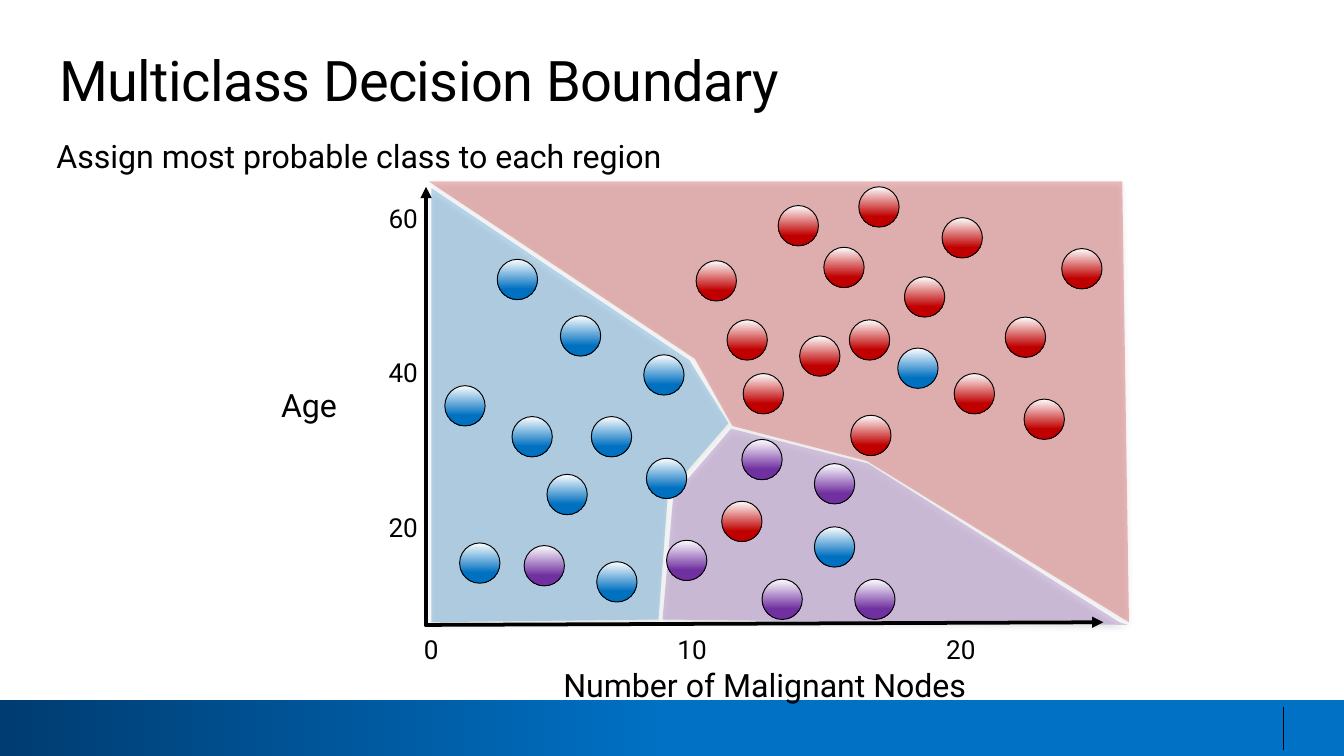
from dataclasses import dataclass

from lxml.etree import SubElement
from pptx import Presentation
from pptx.dml.color import RGBColor
from pptx.enum.shapes import MSO_CONNECTOR, MSO_SHAPE
from pptx.enum.text import MSO_ANCHOR, MSO_AUTO_SIZE, PP_ALIGN
from pptx.oxml.ns import qn
from pptx.util import Inches, Pt


@dataclass(frozen=True)
class Theme:
    font: str = "Roboto"
    ink: str = "000000"
    highlight: str = "FEFFFF"
    red: str = "C00000"
    blue: str = "0070C0"
    purple: str = "7030A0"
    bar_start: str = "003C71"
    bar_end: str = "0071C5"
    title_size: float = 30
    body_size: float = 17.2
    tick_size: float = 14
    axis_leading: float = 28.5


THEME = Theme()
DOT_SIZE = 0.3

REGIONS = [
    (THEME.red, 35, 1.8, [(3.19, 1.35), (8.35, 1.35), (8.4, 4.63), (6.45, 3.43),
                          (5.45, 3.17), (5.17, 2.67)]),
    (THEME.purple, 38, 1.6, [(8.33, 4.63), (6.46, 3.45), (5.44, 3.19), (5.01, 3.69),
                             (4.93, 4.61), (8.39, 4.65)]),
    (THEME.blue, 35, 1.8, [(3.21, 1.4), (5.13, 2.68), (5.42, 3.15), (4.97, 3.67),
                           (4.9, 4.61), (3.21, 4.63)]),
]

DOTS = {
    THEME.red: [
        (5.37, 3.73), (6.33, 3.09), (5.53, 2.78), (5.41, 2.38), (5.18, 1.94), (5.79, 1.53),
        (6.13, 1.84), (6.32, 2.38), (5.95, 2.5), (6.73, 2.06), (6.39, 1.39), (7.01, 1.62),
        (7.9, 1.85), (7.48, 2.36), (7.1, 2.78), (7.62, 2.97),
    ],
    THEME.blue: [
        (4.81, 3.41), (4.4, 3.1), (4.79, 2.64), (6.68, 2.59), (6.06, 3.92), (4.44, 4.18),
        (3.42, 4.04), (4.07, 3.53), (3.81, 3.1), (4.17, 2.35), (3.31, 2.87), (3.7, 1.93),
    ],
    THEME.purple: [
        (5.52, 3.27), (6.06, 3.45), (5.67, 4.31), (6.36, 4.31), (4.96, 4.02), (3.9, 4.06),
    ],
}


def write_text(frame, text, *, size, align=PP_ALIGN.LEFT, anchor=MSO_ANCHOR.TOP,
               leading=None, tracking=None):
    frame.margin_left = frame.margin_right = frame.margin_top = frame.margin_bottom = 0
    frame.word_wrap = True
    frame.auto_size = MSO_AUTO_SIZE.SHAPE_TO_FIT_TEXT
    frame.vertical_anchor = anchor
    paragraph = frame.paragraphs[0]
    paragraph.alignment = align
    if leading:
        paragraph.line_spacing = Pt(leading)
    run = paragraph.add_run()
    run.text = text
    run.font.name = THEME.font
    run.font.size = Pt(size)
    run.font.color.rgb = RGBColor.from_string(THEME.ink)
    if tracking:
        run.font._element.set("spc", str(round(tracking * 100)))


class SlideBuilder:
    def __init__(self, slide, theme):
        self.shapes = slide.shapes
        self.theme = theme

    def text(self, left, top, width, height, text, **style):
        box = self.shapes.add_textbox(Inches(left), Inches(top), Inches(width), Inches(height))
        write_text(box.text_frame, text, **style)

    def gradient_shape(self, kind, box, start, end, *, stop, angle, outline=None):
        shape = self.shapes.add_shape(kind, *map(Inches, box))
        shape.shadow.inherit = False
        shape.fill.gradient()
        shape.fill.gradient_angle = angle
        for gradient_stop, color, position in zip(
                shape.fill.gradient_stops, (start, end), (0, stop)):
            gradient_stop.color.rgb = RGBColor.from_string(color)
            gradient_stop.position = position
        if outline:
            shape.line.color.rgb = RGBColor.from_string(self.theme.ink)
            shape.line.width = Pt(outline)
        else:
            shape.line.fill.background()

    def dot(self, left, top, color):
        self.gradient_shape(MSO_SHAPE.OVAL, (left, top, DOT_SIZE, DOT_SIZE),
                            self.theme.highlight, color, stop=0.74, angle=270, outline=0.5)

    def region(self, points, color, shadow_opacity, shadow_distance):
        corners = [(Inches(x), Inches(y)) for x, y in points]
        builder = self.shapes.build_freeform(*corners[0])
        builder.add_line_segments(corners[1:], close=True)
        shape = builder.convert_to_shape()
        shape.line.fill.background()
        shape.fill.solid()
        shape.fill.fore_color.rgb = RGBColor.from_string(color)
        properties = shape._element.spPr
        fill_color = properties.find(qn("a:solidFill")).find(qn("a:srgbClr"))
        SubElement(fill_color, qn("a:alpha"), val="25000")
        shape.shadow.inherit = False
        shadow = SubElement(properties.find(qn("a:effectLst")), qn("a:outerShdw"),
                            blurRad=str(Pt(3.1)), dist=str(Pt(shadow_distance)),
                            dir="5400000", rotWithShape="0")
        shadow_color = SubElement(shadow, qn("a:srgbClr"), val=self.theme.ink)
        SubElement(shadow_color, qn("a:alpha"), val=str(shadow_opacity * 1000))

    def line(self, start, end, *, width, arrow=False):
        connector = self.shapes.add_connector(
            MSO_CONNECTOR.STRAIGHT, *map(Inches, (*start, *end)))
        connector.line.color.rgb = RGBColor.from_string(self.theme.ink)
        connector.line.width = Pt(width)
        properties = connector._element.spPr
        if arrow:
            SubElement(properties.find(qn("a:ln")), qn("a:tailEnd"), type="triangle")
        SubElement(properties, qn("a:effectLst"))


def main():
    presentation = Presentation()
    presentation.slide_width = Inches(10)
    presentation.slide_height = Inches(5.625)
    slide = presentation.slides.add_slide(presentation.slide_layouts[6])
    builder = SlideBuilder(slide, THEME)

    builder.gradient_shape(MSO_SHAPE.RECTANGLE, (0, 5.21, 10, 0.42),
                           THEME.bar_start, THEME.bar_end, stop=0.5, angle=0)
    builder.line((9.55, 5.26), (9.55, 5.58), width=0.75)

    for color, opacity, distance, points in REGIONS:
        builder.region(points, color, opacity, distance)

    axis_title = {"size": THEME.body_size, "align": PP_ALIGN.CENTER,
                  "leading": THEME.axis_leading}
    builder.text(3.88, 4.84, 3.62, 0.38, "Number of Malignant Nodes", **axis_title)
    builder.text(1.92, 2.76, 0.76, 0.38, "Age", **axis_title)

    tick = {"size": THEME.tick_size, "anchor": MSO_ANCHOR.MIDDLE,
            "leading": THEME.axis_leading}
    for index, label in enumerate(("60", "40", "20")):
        builder.text(2.86, 1.36 + 1.15 * index, 0.25, 0.36, label,
                     align=PP_ALIGN.RIGHT, **tick)
    for center, label in ((3.21, "0"), (5.15, "10"), (7.15, "20")):
        builder.text(center - 0.15, 4.57, 0.3, 0.36, label, align=PP_ALIGN.CENTER, **tick)

    builder.line((3.17, 4.66), (3.17, 1.39), width=2, arrow=True)
    builder.line((3.16, 4.65), (8.21, 4.63), width=2, arrow=True)

    for color, positions in DOTS.items():
        for left, top in positions:
            builder.dot(left, top, color)

    builder.text(0.42, 1.01, 4.89, 0.29, "Assign most probable class to each region",
                 size=THEME.body_size, anchor=MSO_ANCHOR.MIDDLE)
    builder.text(0.44, 0.34, 9.23, 0.5, "Multiclass Decision Boundary",
                 size=THEME.title_size, tracking=-0.3)

    presentation.save("out.pptx")


if __name__ == "__main__":
    main()
